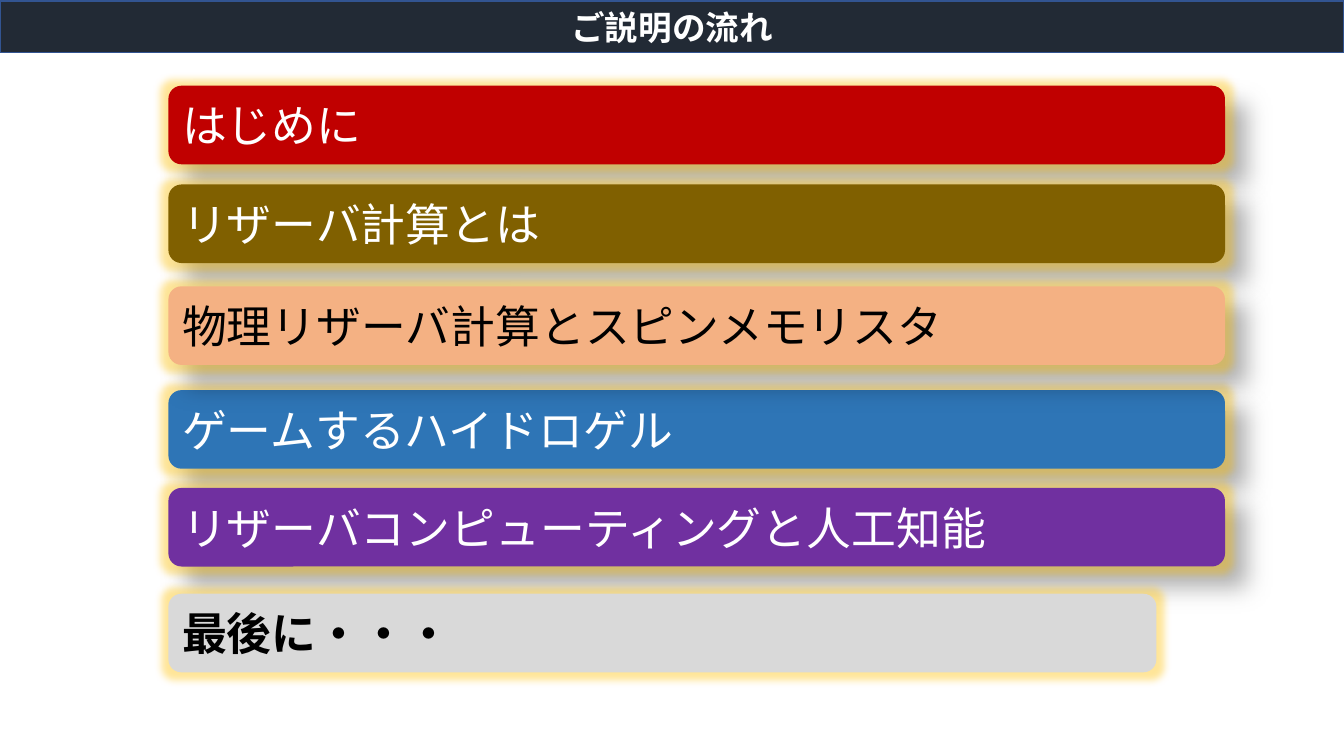
from lxml.etree import SubElement
from pptx import Presentation
from pptx.dml.color import RGBColor
from pptx.enum.shapes import MSO_SHAPE
from pptx.enum.text import MSO_ANCHOR, MSO_AUTO_SIZE, PP_ALIGN
from pptx.oxml.ns import qn
from pptx.util import Inches, Pt

FONT = "Noto Sans CJK JP"
COLORS = {
    "navy": "222A35", "edge": "325491", "white": "FFFFFF", "black": "000000",
    "red": "C00000", "olive": "806000", "peach": "F4B183", "blue": "2E75B6",
    "purple": "7030A0", "grey": "D9D9D9", "gold": "FFC000",
}
TITLE = "ご説明の流れ"
# text, top, fill, text colour; back to front
TOPICS = [
    ("ゲームするハイドロゲル", 3.87, "blue", "white"),
    ("はじめに", 0.85, "red", "white"),
    ("リザーバ計算とは", 1.83, "olive", "white"),
    ("物理リザーバ計算とスピンメモリスタ", 2.84, "peach", "black"),
    ("リザーバコンピューティングと人工知能", 4.84, "purple", "white"),
]
CLOSING = ("最後に・・・", 5.89, "grey", "black")
SLIDE_W, SLIDE_H = 13.33, 7.5
BAR_LEFT, BAR_H = 1.67, 0.78
TOPIC_W, CLOSING_W = 10.48, 9.8


def rgb(name):
    return RGBColor.from_string(COLORS[name])


def place(sp, left, top, width, height):
    sp.left, sp.top = Inches(left), Inches(top)
    sp.width, sp.height = Inches(width), Inches(height)


def write(sp, text, size, color, bold, align):
    tf = sp.text_frame
    tf.text = text
    tf.word_wrap = True
    tf.auto_size = MSO_AUTO_SIZE.NONE
    tf.vertical_anchor = MSO_ANCHOR.MIDDLE
    p = tf.paragraphs[0]
    p.alignment = align
    r = p.runs[0]
    r.font.size, r.font.bold, r.font.name = Pt(size), bold, FONT
    r.font.color.rgb = rgb(color)
    SubElement(r.font._element, qn("a:ea"), typeface=FONT)


def add_effect(effects, tag, color, opacity, **attrs):
    effect = SubElement(effects, qn(tag), {k: str(v) for k, v in attrs.items()})
    clr = SubElement(effect, qn("a:srgbClr"), val=COLORS[color])
    SubElement(clr, qn("a:alpha"), val=str(opacity * 1000))


def add_bar(slide, topic, width, bold=False, shadow=True):
    text, top, fill, color = topic
    sp = slide.shapes.add_shape(MSO_SHAPE.ROUNDED_RECTANGLE, 0, 0, 0, 0)
    place(sp, BAR_LEFT, top, width, BAR_H)
    sp.fill.solid()
    sp.fill.fore_color.rgb = rgb(fill)
    sp.line.fill.background()
    sp.shadow.inherit = False
    effects = sp._element.spPr.find(qn("a:effectLst"))
    add_effect(effects, "a:glow", "gold", 40, rad=Pt(11))
    if shadow:
        add_effect(effects, "a:outerShdw", "black", 30, blurRad=Pt(15),
                   dist=Pt(18), dir=45 * 60000, algn="tl", rotWithShape=0)
    write(sp, text, 32, color, bold, PP_ALIGN.LEFT)


def main():
    prs = Presentation()
    prs.slide_width, prs.slide_height = Inches(SLIDE_W), Inches(SLIDE_H)
    slide = prs.slides.add_slide(prs.slide_layouts[5])

    title = slide.shapes.title
    place(title, 0, 0.01, SLIDE_W, 0.51)
    title.fill.solid()
    title.fill.fore_color.rgb = rgb("navy")
    title.line.color.rgb = rgb("edge")
    title.line.width = Pt(1)
    write(title, TITLE, 24, "white", True, PP_ALIGN.CENTER)

    for topic in TOPICS:
        add_bar(slide, topic, TOPIC_W)
    add_bar(slide, CLOSING, CLOSING_W, bold=True, shadow=False)
    prs.save("out.pptx")


if __name__ == "__main__":
    main()
